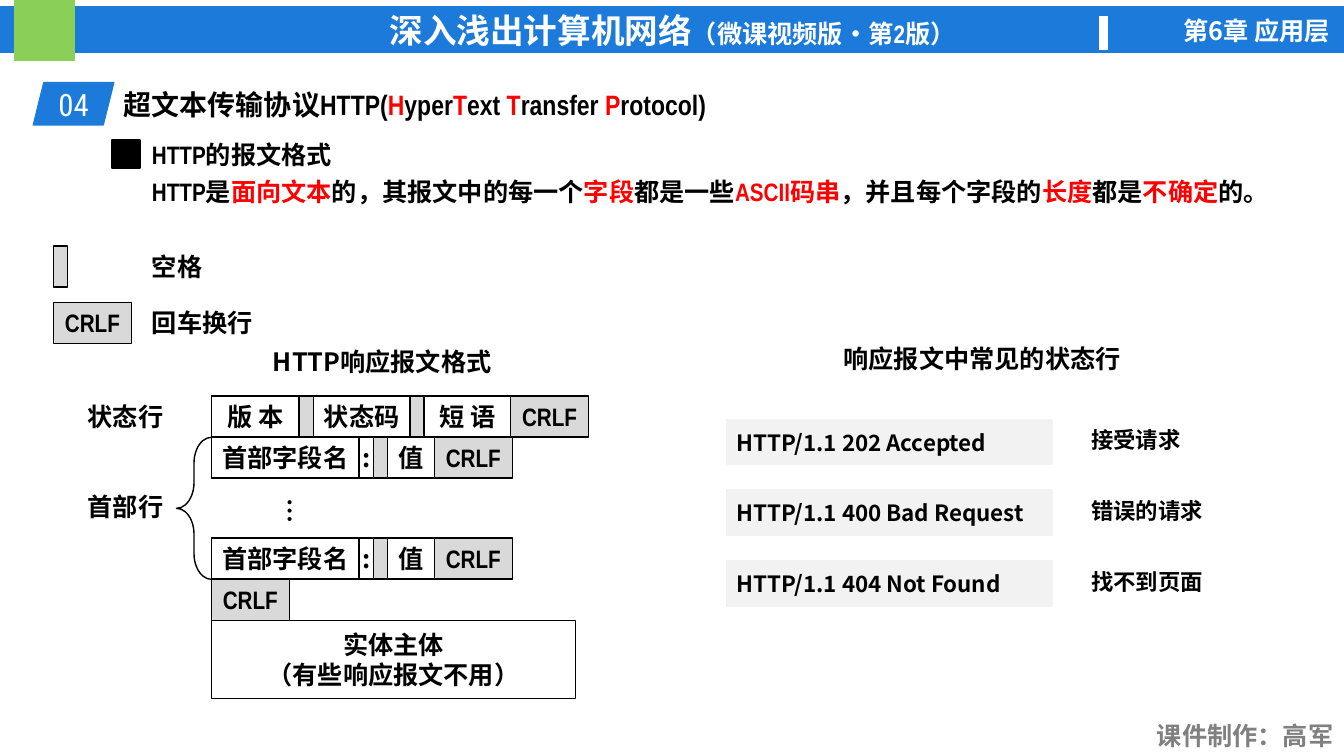
from dataclasses import dataclass

from lxml import etree
from pptx import Presentation
from pptx import util as u
from pptx.dml.color import RGBColor
from pptx.enum import shapes, text
from pptx.oxml.ns import qn

SHAPE = shapes.MSO_SHAPE
ALIGN = text.PP_ALIGN
ANCHOR = text.MSO_ANCHOR


@dataclass(frozen=True)
class Theme:
    blue: str = "1B7ADA"
    green: str = "8ACF57"
    white: str = "FFFFFF"
    black: str = "000000"
    red: str = "FF0000"
    credit: str = "808080"
    shade: str = "D9D9D9"
    panel: str = "F2F2F2"
    cjk: str = "Noto Sans CJK SC"
    narrow: str = "Arial Narrow"
    number: str = "Roboto Condensed"
    banner: int = 24
    section: int = 22
    title: int = 20
    body: int = 18
    small: int = 16


class Deck:
    def __init__(self, theme):
        self.theme = theme
        self.prs = Presentation()
        self.prs.slide_width, self.prs.slide_height = u.Cm(33.87), u.Cm(19.05)
        self.slide = self.prs.slides.add_slide(self.prs.slide_layouts[5])

    def set_text(self, sp, content, size=None, font=None, color=None, bold=True,
                 align=ALIGN.LEFT, anchor=ANCHOR.TOP, inset=0.25, wrap=True,
                 accent_size=None):
        """Fill a shape with text; parts between asterisks take the accent."""
        t = self.theme
        tf = sp.text_frame
        tf.word_wrap, tf.vertical_anchor = wrap, anchor
        tf.auto_size = text.MSO_AUTO_SIZE.NONE
        tf.margin_left = tf.margin_right = u.Cm(inset)
        tf.margin_top = tf.margin_bottom = u.Cm(0.13)
        for i, line in enumerate(content.split("\n")):
            p = tf.add_paragraph() if i else tf.paragraphs[0]
            p.alignment = align
            p.space_before = u.Pt(0)
            p.font.size = u.Pt(size or t.body)
            p.font.bold = bold
            p.font.color.rgb = RGBColor.from_string(color or t.black)
            p.font.name = font or t.cjk
            east_asian = etree.SubElement(p._p.pPr.find(qn("a:defRPr")), qn("a:ea"))
            east_asian.set("typeface", t.cjk)
            for j, part in enumerate(line.split("*")):
                if not part:
                    continue
                r = p.add_run()
                r.text = part
                if j % 2 and accent_size:
                    r.font.size = u.Pt(accent_size)
                elif j % 2:
                    r.font.color.rgb = RGBColor.from_string(t.red)

    def title(self, content, x, y, w, h, **style):
        sp = self.slide.shapes.title
        sp.left, sp.top, sp.width, sp.height = map(u.Cm, (x, y, w, h))
        self.set_text(sp, content, **style)

    def label(self, content, x, y, w, h=1.03, **style):
        sp = self.slide.shapes.add_textbox(*map(u.Cm, (x, y, w, h)))
        self.set_text(sp, content, **style)
        return sp

    def box(self, x, y, w, h, fill=None, line=None, content="", kind=SHAPE.RECTANGLE,
            **style):
        sp = self.slide.shapes.add_shape(kind, *map(u.Cm, (x, y, w, h)))
        sp.shadow.inherit = False
        if fill:
            sp.fill.solid()
            sp.fill.fore_color.rgb = RGBColor.from_string(fill)
        else:
            sp.fill.background()
        sp.line.color.rgb = RGBColor.from_string(line or fill or self.theme.black)
        sp.line.width = u.Pt(1)
        if content:
            self.set_text(sp, content, anchor=ANCHOR.MIDDLE,
                          **{"align": ALIGN.CENTER, **style})
        return sp

    def field(self, x, y, w, content, h=1.03):
        """One message field; separators and CRLF are shaded."""
        t = self.theme
        crlf = content == "CRLF"
        self.box(x, y, w, h, t.shade if crlf or not content else None, t.black, content,
                 font=t.narrow if crlf else t.cjk, inset=0, wrap=False)

    def row(self, x, y, fields):
        for content, w in fields:
            self.field(x, y, w, content)
            x += w


def draw_header(deck):
    t = deck.theme
    deck.box(0, 0.18, 33.9, 1.14, t.blue, content="深入浅出计算机网络*（微课视频版•第2版）*",
             size=t.banner, font=t.narrow, color=t.white, accent_size=t.body)
    deck.box(0.36, 0, 1.52, 1.52, t.green)
    deck.box(27.71, 0.41, 0.2, 0.84, t.white)
    deck.label("第6章 应用层", 28.22, 0.25, 5.54, color=t.white, align=ALIGN.RIGHT)
    deck.label("课件制作：高军", 28.8, 18.01, 5.05, font=t.narrow, color=t.credit,
               align=ALIGN.RIGHT)
    deck.box(0.84, 2.08, 2.03, 1.07, t.blue, content="04", kind=SHAPE.PARALLELOGRAM,
             size=t.section, font=t.number, color=t.white, bold=False, inset=0)
    deck.title("超文本传输协议HTTP(*H*yper*T*ext *T*ransfer *P*rotocol)",
               2.87, 2.08, 15.72, 1.12, size=t.title, font=t.narrow)


def draw_intro(deck):
    t = deck.theme
    deck.box(2.82, 3.53, 0.71, 0.71, t.black)
    lines = ("HTTP的报文格式",
             "HTTP是*面向文本*的，其报文中的每一个*字段*都是一些*ASCII码串*，"
             "并且每个字段的*长度*都是*不确定*的。")
    for i, line in enumerate(lines):
        deck.label(line, 3.58, 3.3 + 0.94 * i, 29.44, 1.19, font=t.narrow,
                   anchor=ANCHOR.MIDDLE)
    for y, w, content, meaning in ((6.2, 0.36, "", "空格"), (7.62, 1.96, "CRLF", "回车换行")):
        deck.field(1.35, y, w, content)
        deck.label(meaning, 3.58, y, 3.18)


def draw_message_format(deck):
    x, first, last, pitch = 5.33, 9.98, 13.56, 1.04
    space, crlf = ("", 0.36), ("CRLF", 1.96)
    header_line = (("首部字段名", 3.72), (":", 0.36), space, ("值", 1.18), crlf)
    status_line = (("版 本", 2.21), space, ("状态码", 2.43), space, ("短 语", 2.18), crlf)
    deck.label("HTTP响应报文格式", 6.63, 8.59, 6.35)
    deck.label("状态行", 1.96, first, 2.46)
    deck.label("首部行", 1.96, 12.24, 2.46)
    deck.row(x, first, status_line)
    deck.row(x, first + pitch, header_line)
    dots = deck.label("…", 6.63, 12.42, 1.27, 0.64)
    dots.element.txBody.bodyPr.set("vert", "eaVert")
    deck.row(x, last, header_line)
    deck.row(x, last + pitch, [crlf])
    deck.field(x, last + 2 * pitch, 9.17, "实体主体\n（有些响应报文不用）", 1.96)
    brace = deck.box(4.45, first + pitch, 0.88, last - first, kind=SHAPE.LEFT_BRACE)
    brace.adjustments[0] = 0.74


def draw_status_lines(deck):
    t = deck.theme
    deck.label("响应报文中常见的状态行", 21.01, 8.51, 7.57)
    statuses = (("HTTP/1.1 202 Accepted", "接受请求"),
                ("HTTP/1.1 400 Bad Request", "错误的请求"),
                ("HTTP/1.1 404 Not Found", "找不到页面"))
    for i, (status, meaning) in enumerate(statuses):
        y = 10.57 + 1.78 * i
        deck.box(18.31, y, 8.2, 1.14, t.panel, content=status, size=t.small,
                 align=ALIGN.LEFT)
        deck.label(meaning, 27.25, y + 0.05, 5.87, 0.94, size=t.small)


def main():
    deck = Deck(Theme())
    draw_header(deck)
    draw_intro(deck)
    draw_message_format(deck)
    draw_status_lines(deck)
    deck.prs.save("out.pptx")


if __name__ == "__main__":
    main()
